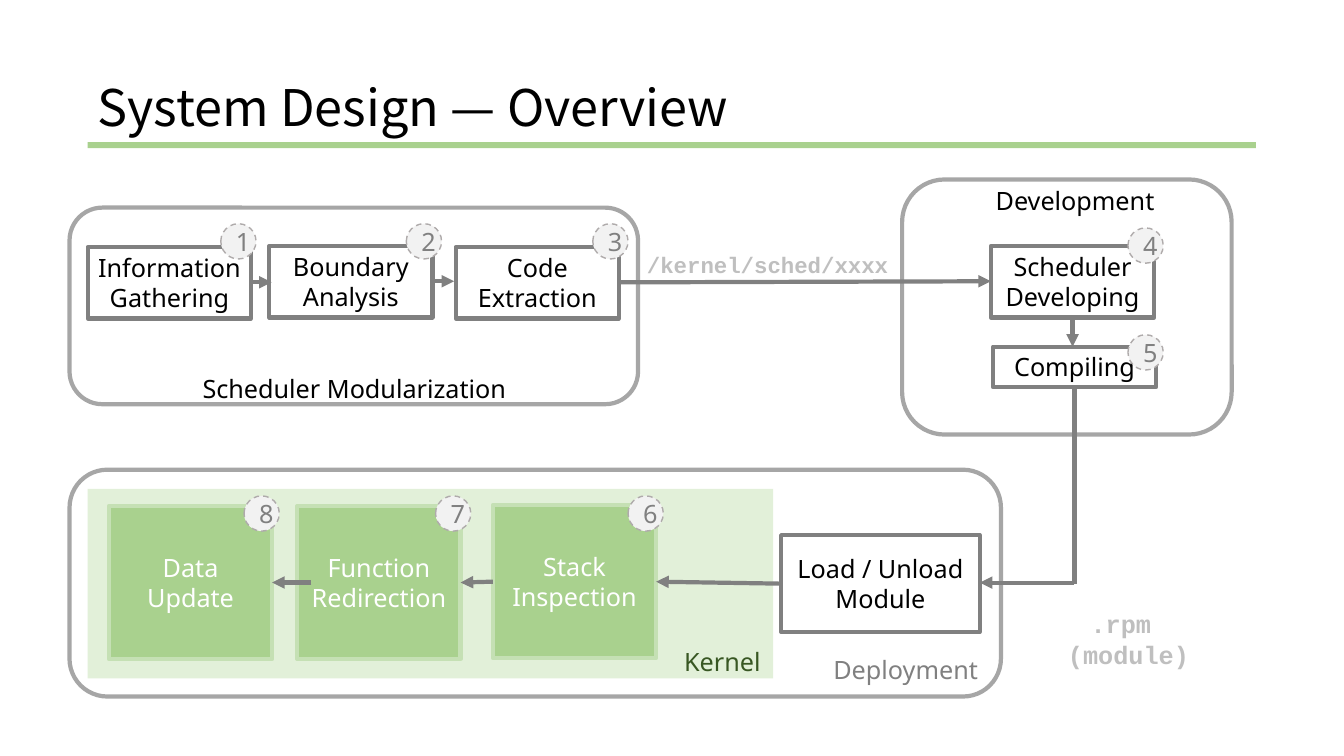
from dataclasses import dataclass

from lxml import etree
from pptx import Presentation
from pptx.dml.color import RGBColor
from pptx.enum.dml import MSO_LINE
from pptx.enum.shapes import MSO_CONNECTOR, MSO_SHAPE
from pptx.enum.text import MSO_ANCHOR, PP_ALIGN
from pptx.oxml.ns import qn
from pptx.util import Pt

RECT = MSO_SHAPE.RECTANGLE
ROUND = MSO_SHAPE.ROUNDED_RECTANGLE
DISC = MSO_SHAPE.FLOWCHART_CONNECTOR
STRAIGHT = MSO_CONNECTOR.STRAIGHT
DASH = MSO_LINE.DASH
TOP = MSO_ANCHOR.TOP
MIDDLE = MSO_ANCHOR.MIDDLE
LEFT = PP_ALIGN.LEFT
CENTER = PP_ALIGN.CENTER


@dataclass(frozen=True)
class Theme:
    ink: str = "000000"
    white: str = "FFFFFF"
    gray: str = "808080"
    frame: str = "A6A6A6"
    pale: str = "BFBFBF"
    disc: str = "F2F2F2"
    rim: str = "AFABAB"
    green: str = "A9D18E"
    edge: str = "C5E0B4"
    wash: str = "E2F0D9"
    dark: str = "385723"
    sans: str = "Noto Sans"
    head: str = "Noto Sans CJK JP"
    mono: str = "Courier New"
    title: int = 36
    body: int = 18
    code: int = 16
    thick: int = 3
    thin: int = 1


T = Theme()
BODY = {"name": T.sans, "size": Pt(T.body)}
HEAD = {"name": T.head, "size": Pt(T.title)}
MONO = {"name": T.mono, "size": Pt(T.body), "bold": True}
CODE = {**MONO, "size": Pt(T.code)}
STEP = (116.6, 51.1)
BLOCK = (116.6, 109.4)


def apply(item, values):
    for key, value in values.items():
        setattr(item, key, value)


def rgb(code):
    return RGBColor.from_string(code)


def write(shape, text, color, font=BODY, anchor=MIDDLE, align=CENTER, gap=None):
    frame = shape.text_frame
    apply(frame, {"text": text, "word_wrap": True, "vertical_anchor": anchor})
    for para in frame.paragraphs:
        apply(para, {"alignment": align, "line_spacing": gap})
        for run in para.runs:
            apply(run.font, font)
            run.font.color.rgb = rgb(color)


def label(slide, box, text, color, font=BODY, **opts):
    shape = slide.shapes.add_textbox(*map(Pt, box))
    write(shape, text, color, font, **{"anchor": TOP, **opts})


def draw(slide, kind, box, fill=None, line=None, width=T.thick):
    shape = slide.shapes.add_shape(kind, *map(Pt, box))
    shape.shadow.inherit = False
    if fill:
        shape.fill.solid()
        shape.fill.fore_color.rgb = rgb(fill)
    else:
        shape.fill.background()
    if line:
        shape.line.color.rgb = rgb(line)
        shape.line.width = Pt(width)
    else:
        shape.line.fill.background()
    return shape


def link(slide, start, end, tip=True):
    wire = slide.shapes.add_connector(STRAIGHT, *map(Pt, (*start, *end)))
    wire.line.color.rgb = rgb(T.gray)
    wire.line.width = Pt(T.thick)
    if tip:
        etree.SubElement(wire.line._get_or_add_ln(), qn("a:tailEnd"), type="triangle")
    etree.SubElement(wire._element.spPr, qn("a:effectLst"))


def badge(slide, x, y, number):
    shape = draw(slide, DISC, (x, y, 25.2, 25.2), T.disc, T.rim, T.thin)
    shape.line.dash_style = DASH
    write(shape, str(number), T.gray)


def node(slide, box, text, fill=None, line=T.gray, color=T.ink):
    write(draw(slide, RECT, box, fill, line), text, color)


def title(slide, box):
    x, y, w, h = box
    label(slide, (x, y, 578.2, 46.8), "System Design — Overview", T.ink, HEAD,
          anchor=MIDDLE, align=LEFT, gap=0.9)
    draw(slide, RECT, (x, y + h - 4.3, w, 4.3), T.green)


def modular(slide, box):
    x, y, w, h = box
    draw(slide, ROUND, box, line=T.frame)
    label(slide, (x + 69.8, y + 114.5, 267.1, 28.8), "Scheduler Modularization", T.ink)
    steps = [
        (13, 28.1, "Information\nGathering", 108),
        (142.6, 27.4, "Boundary\nAnalysis", 240.5),
        (275.8, 28.1, "Code\vExtraction", 373.7),
    ]
    for number, (dx, dy, text, disc) in enumerate(steps, 1):
        node(slide, (x + dx, y + dy, *STEP), text)
        badge(slide, x + disc, y + 11.5, number)
    for dx, dy in ((129.6, 53.3), (259.9, 52.6)):
        link(slide, (x + dx, y + dy), (x + dx + 14.8, y + dy))


def develop(slide, box):
    x, y, w, h = box
    draw(slide, ROUND, box, line=T.frame)
    label(slide, (x + 49.7, y + 0.7, 147.6, 28.8), "Development", T.ink)
    node(slide, (x + 63.4, y + 47.5, *STEP), "Scheduler\vDeveloping")
    link(slide, (x + 121.7, y + 98.6), (x + 121.7, y + 119.5))
    node(slide, (x + 64.8, y + 119.5, 116.6, 28.8), "Compiling")
    for number, dy in ((4, 34.6), (5, 110.9)):
        badge(slide, x + 161.3, y + dy, number)


def deploy(slide, box):
    x, y, w, h = box
    draw(slide, RECT, (x + 13, y + 13.7, 489.6, 135.4), T.wash)
    draw(slide, ROUND, box, line=T.frame)
    label(slide, (x + 529.2, y + 128.2, 136.1, 28.8), "Deployment", T.gray)
    blocks = [
        (302.4, 25.2, "Stack\nInspection", 398.9),
        (162.7, 25.9, "Function\nRedirection", 261.4),
        (28.1, 25.9, "Data\nUpdate", 124.6),
    ]
    for number, (dx, dy, text, disc) in enumerate(blocks, 6):
        node(slide, (x + dx, y + dy, *BLOCK), text, T.green, T.edge, T.white)
        badge(slide, x + disc, y + 18.7, number)
    node(slide, (x + 508.3, y + 46.8, 141.8, 69.1), "Load / Unload Module")
    for start, end in (((508.3, 81.4), (419, 80)),
                       ((302.4, 80), (279.3, 80.6)),
                       ((172.8, 80.6), (144.7, 80.6))):
        link(slide, (x + start[0], y + start[1]), (x + end[0], y + end[1]))
    label(slide, (x + 427, y + 122.4, 78.5, 28.8), "Kernel", T.dark)


def flows(slide, box):
    x, y, w, h = box
    link(slide, (x, y + 26), (x + 265.7, y + 25.2))
    label(slide, (x, y, 212.4, 26.6), "/kernel/sched/xxxx", T.pale, CODE)
    link(slide, (x + w, y + 100.8), (x + w, y + h), tip=False)
    link(slide, (x + w, y + h - 0.7), (x + 257.8, y + h - 0.7))
    label(slide, (x + 278.6, y + 255.6, 159.8, 51.1), ".rpm\v (module)", T.pale, MONO)


def main():
    deck = Presentation()
    apply(deck, {"slide_width": Pt(960), "slide_height": Pt(540)})
    slide = deck.slides.add_slide(deck.slide_layouts[6])
    title(slide, (62.6, 55.4, 834.5, 50.4))
    modular(slide, (49.7, 148.3, 406.1, 140.4))
    develop(slide, (644.4, 128.2, 235.4, 182.2))
    deploy(slide, (49.7, 335.5, 665.3, 162))
    flows(slide, (442.1, 175.7, 325.4, 241.2))
    deck.save("out.pptx")


if __name__ == "__main__":
    main()
